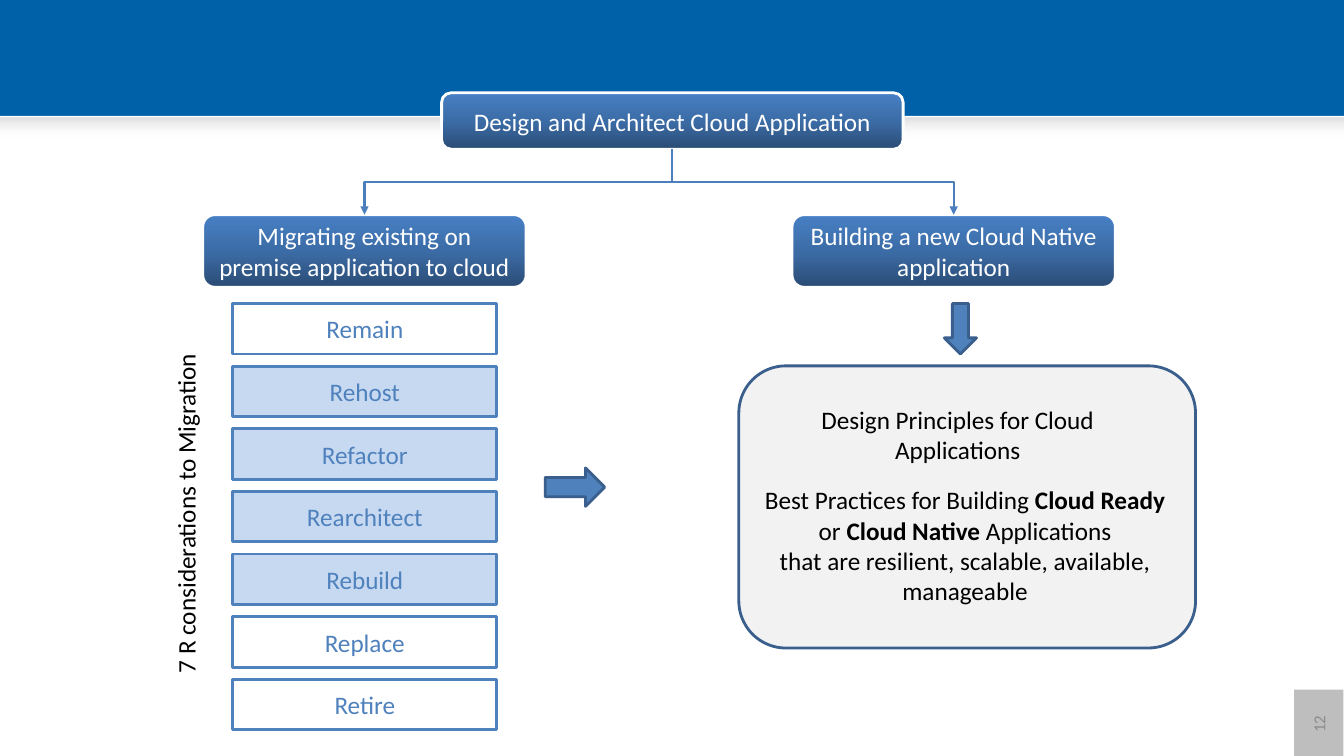
from dataclasses import dataclass
from typing import NamedTuple

from lxml.etree import SubElement
from pptx import Presentation
from pptx.dml.color import RGBColor
from pptx.enum.shapes import MSO_CONNECTOR, MSO_SHAPE
from pptx.enum.text import MSO_ANCHOR, PP_ALIGN
from pptx.oxml.ns import qn
from pptx.util import Cm, Pt


@dataclass(frozen=True)
class Theme:
    font: str = "Calibri"
    body_size: float = 18
    number_size: float = 12
    outline: float = 2
    connector_width: float = 1.5
    band: str = "0060A8"
    white: str = "FFFFFF"
    black: str = "000000"
    accent: str = "4F81BD"
    accent_dark: str = "3A5F8C"
    connector: str = "4B7EBC"
    highlight: str = "C6D9F1"
    panel: str = "F2F2F2"
    tab: str = "7F7F7F"
    tab_text: str = "8C8C8C"
    # Gradient stops: position, colour, opacity (percent)
    heading: tuple = ((0, "2A4C75", 100), (50, "3C6CA6", 100), (100, "4780C5", 100))
    band_shadow: tuple = ((0, "000000", 13), (48, "E3E3E3", 0), (66, "FFFFFF", 0))


class Box(NamedTuple):
    """Left, top, width and height in centimetres."""
    left: float
    top: float
    width: float
    height: float

    def inner(self, dx, dy, width, height):
        return Box(self.left + dx, self.top + dy, width, height)

    def lengths(self):
        return [Cm(value) for value in self]


THEME = Theme()
PAGE = Box(0, 0, 33.87, 19.05)


# Shared drawing helpers
def set_opacity(color, percent):
    SubElement(color, qn("a:alpha"), val=str(percent * 1000))


def set_gradient(shape, stops, angle):
    gradient = SubElement(shape._element.spPr, qn("a:gradFill"), rotWithShape="1")
    stop_list = SubElement(gradient, qn("a:gsLst"))
    for position, color, opacity in stops:
        stop = SubElement(stop_list, qn("a:gs"), pos=str(position * 1000))
        set_opacity(SubElement(stop, qn("a:srgbClr"), val=color), opacity)
    SubElement(gradient, qn("a:lin"), ang=str(angle * 60000), scaled="0")


def add_block(slide, box, kind, fill=None, line=None, gradient=None, angle=0):
    block = slide.shapes.add_shape(kind, *box.lengths())
    block.shadow.inherit = False
    if gradient:
        set_gradient(block, gradient, angle)
    else:
        block.fill.solid()
        block.fill.fore_color.rgb = RGBColor.from_string(fill)
    if line:
        block.line.color.rgb = RGBColor.from_string(line)
        block.line.width = Pt(THEME.outline)
    else:
        block.line.fill.background()
    return block


def write(shape, paragraphs, color, size=THEME.body_size, align=PP_ALIGN.CENTER,
          anchor=MSO_ANCHOR.MIDDLE, wrap=True):
    """Each paragraph is a list of (text, bold) runs."""
    frame = shape.text_frame
    frame.word_wrap = wrap
    frame.vertical_anchor = anchor
    for index, runs in enumerate(paragraphs):
        paragraph = frame.add_paragraph() if index else frame.paragraphs[0]
        paragraph.alignment = align
        for text, bold in runs:
            run = paragraph.add_run()
            run.text = text
            run.font.name = THEME.font
            run.font.size = Pt(size)
            run.font.bold = bold
            run.font.color.rgb = RGBColor.from_string(color)


def add_note(slide, box, paragraphs, **options):
    note = slide.shapes.add_textbox(*box.lengths())
    write(note, paragraphs, THEME.black, anchor=MSO_ANCHOR.TOP, **options)
    return note


def add_heading(slide, box, text):
    heading = add_block(slide, box, MSO_SHAPE.ROUNDED_RECTANGLE, line=THEME.white,
                        gradient=THEME.heading, angle=270)
    write(heading, [[(text, False)]], THEME.white)
    return heading


def add_arrow(slide, box, kind):
    add_block(slide, box, kind, THEME.accent, THEME.accent_dark)


def join(slide, parent, child):
    """Elbow that leaves the parent downwards and enters the child from above."""
    elbow = slide.shapes.add_connector(MSO_CONNECTOR.ELBOW, 0, 0, 0, 0)
    elbow.begin_connect(parent, 2)
    elbow.end_connect(child, 0)
    start_x, start_y = parent.left + parent.width // 2, parent.top + parent.height
    end_x, end_y = child.left + child.width // 2, child.top
    drop, reach = end_y - start_y, abs(end_x - start_x)
    # A turned elbow keeps its unturned frame around the same centre
    elbow.left = (start_x + end_x - drop) // 2
    elbow.top = (start_y + end_y - reach) // 2
    elbow.width, elbow.height = drop, reach
    to_right = end_x > start_x
    frame = elbow._element.spPr.find(qn("a:xfrm"))
    for flip in ("flipH", "flipV"):
        frame.attrib.pop(flip, None)
    frame.set("rot", str((270 if to_right else 90) * 60000))
    if to_right:
        frame.set("flipH", "1")
    elbow.line.color.rgb = RGBColor.from_string(THEME.connector)
    elbow.line.width = Pt(THEME.connector_width)
    SubElement(elbow.line._get_or_add_ln(), qn("a:tailEnd"), type="triangle")
    SubElement(elbow._element.spPr, qn("a:effectLst"))


# Page frame: blue band, white page, soft shadow and page number
def draw_frame(slide, box):
    slide.background.fill.solid()
    slide.background.fill.fore_color.rgb = RGBColor.from_string(THEME.band)
    add_block(slide, box.inner(0, 2.92, box.width, box.height - 2.92),
              MSO_SHAPE.RECTANGLE, THEME.white)
    add_block(slide, box.inner(0, 2.97, box.width, 1.07), MSO_SHAPE.RECTANGLE,
              gradient=THEME.band_shadow, angle=90)
    number = add_block(slide, box.inner(32.36, 17.63, 1.75, 1.24),
                       MSO_SHAPE.RECTANGLE, THEME.tab)
    set_opacity(number._element.spPr.find(".//" + qn("a:srgbClr")), 50)
    number.rotation = 270
    write(number, [[("12", False)]], THEME.tab_text, THEME.number_size)


# Decision tree: one root and two branches
def draw_tree(slide, box):
    root = add_heading(slide, box.inner(6.02, 0, 11.63, 1.42),
                       "Design and Architect Cloud Application")
    branch_width, branch_height = 8.15, 1.83
    branches = ("Migrating existing on premise application to cloud",
                "Building a new Cloud Native application")
    for index, text in enumerate(branches):
        left = index * (box.width - branch_width)
        top = box.height - branch_height
        branch = add_heading(slide, box.inner(left, top, branch_width, branch_height), text)
        join(slide, root, branch)


# Migration column: seven options with a vertical label
def draw_migration(slide, box):
    options = (("Remain", False), ("Rehost", True), ("Refactor", True),
               ("Rearchitect", True), ("Rebuild", True), ("Replace", False),
               ("Retire", False))
    option_height = 1.27
    step = (box.height - option_height) / (len(options) - 1)
    for index, (text, highlighted) in enumerate(options):
        option = add_block(slide, box.inner(1.7, index * step, 6.65, option_height),
                           MSO_SHAPE.RECTANGLE,
                           THEME.highlight if highlighted else THEME.white, THEME.accent)
        write(option, [[(text, False)]], THEME.accent)
    label = add_note(slide, box.inner(0, 1.16, 1.27, 8.41),
                     [[("7 R considerations to Migration", False)]],
                     align=PP_ALIGN.LEFT, wrap=False)
    label.text_frame._txBody.bodyPr.set("vert", "vert270")
    add_arrow(slide, box.inner(9.57, 4.14, 1.5, 0.97), MSO_SHAPE.RIGHT_ARROW)


# Cloud native side: arrow down to the design principles
def draw_principles(slide, box):
    add_block(slide, box.inner(0, 1.57, box.width, box.height - 1.57),
              MSO_SHAPE.ROUNDED_RECTANGLE, THEME.panel, THEME.accent_dark)
    add_note(slide, box.inner(0.89, 2.41, 9.25, 1.8),
             [[("Design Principles for Cloud Applications", False)]])
    add_note(slide, box.inner(0.33, 4.44, 10.74, 3.35), [
        [("Best Practices for Building ", False), ("Cloud Ready ", True),
         ("or ", False), ("Cloud Native ", True), ("Applications", False)],
        [("that are resilient, scalable, available, manageable", False)],
    ])
    add_arrow(slide, box.inner(5.18, 0, 0.81, 1.27), MSO_SHAPE.DOWN_ARROW)


def main():
    deck = Presentation()
    deck.slide_width, deck.slide_height = Cm(PAGE.width), Cm(PAGE.height)
    slide = deck.slides.add_slide(deck.slide_layouts[6])
    draw_frame(slide, PAGE)
    draw_tree(slide, Box(5.11, 2.34, 23, 4.9))
    draw_migration(slide, Box(4.17, 7.65, 8.35, 10.74))
    draw_principles(slide, Box(18.62, 7.65, 11.51, 8.68))
    deck.save("out.pptx")


if __name__ == "__main__":
    main()
